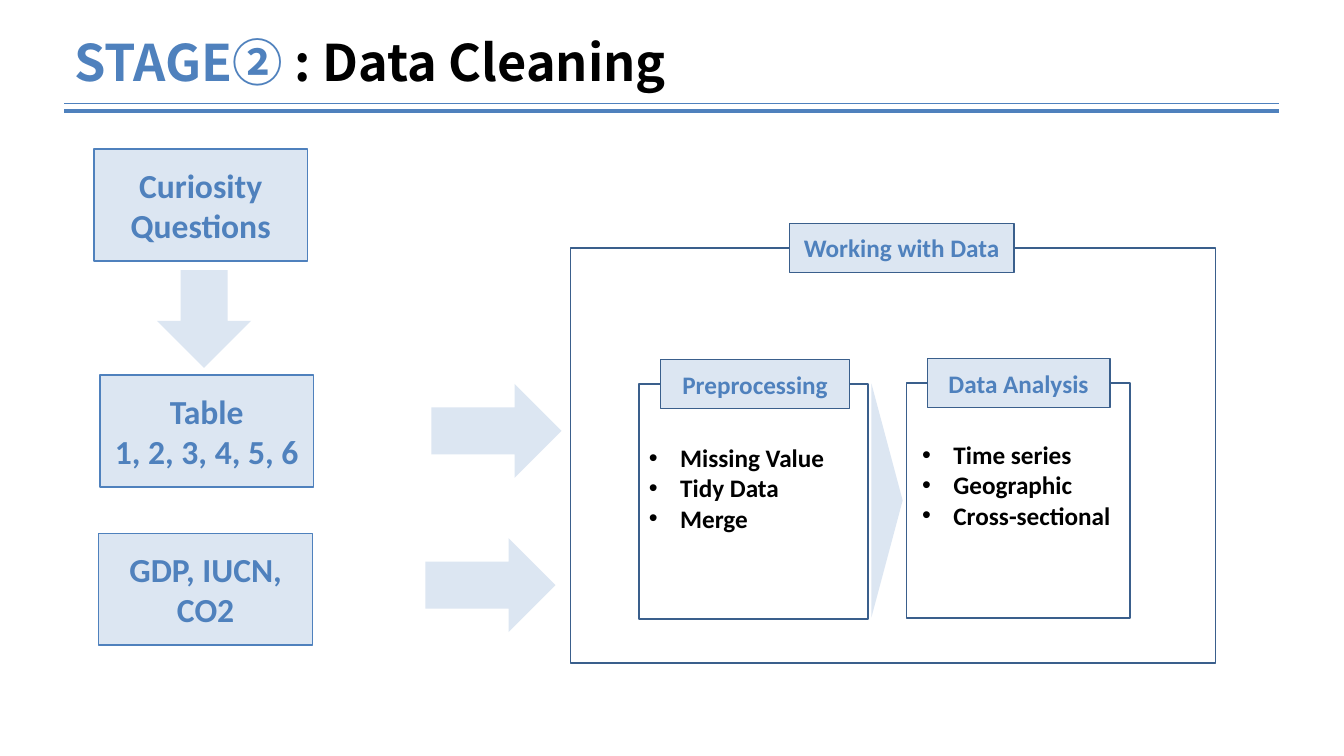
import pptx
import pptx.util
import pptx.dml.color
import pptx.enum.shapes
import pptx.enum.text
import lxml.etree

presentation = pptx.Presentation()
presentation.slide_width = pptx.util.Inches(13.333)
presentation.slide_height = pptx.util.Inches(7.5)
slide = presentation.slides.add_slide(presentation.slide_layouts[6])
column = presentation.slide_width / 100
row = presentation.slide_height / 100

colour = pptx.dml.color.RGBColor.from_string
kinds = pptx.enum.shapes.MSO_SHAPE
BLUE, NAVY, PALE, BLACK = "4F81BD", "3A5F8C", "DCE6F2", "000000"
DRAWING = "{http://schemas.openxmlformats.org/drawingml/2006/main}"


def add_block(kind, left, top, width, height, fill=None, line=None, rotation=0):
    shape = slide.shapes.add_shape(
        kind, int(left * column), int(top * row), int(width * column), int(height * row))
    shape.shadow.inherit = False
    shape.rotation = rotation
    if fill:
        shape.fill.solid()
        shape.fill.fore_color.rgb = colour(fill)
    else:
        shape.fill.background()
    if line:
        shape.line.color.rgb = colour(line)
        shape.line.width = pptx.util.Pt(1)
    else:
        shape.line.fill.background()
    return shape


def write_text(shape, lines, size=18, font="Calibri", align="CENTER", anchor="MIDDLE", bullet=None):
    frame = shape.text_frame
    frame.word_wrap = True
    frame.vertical_anchor = pptx.enum.text.MSO_ANCHOR[anchor]
    for index, pieces in enumerate(lines):
        paragraph = frame.add_paragraph() if index else frame.paragraphs[0]
        paragraph.alignment = pptx.enum.text.PP_ALIGN[align]
        if bullet:
            properties = paragraph._p.get_or_add_pPr()
            indent = pptx.util.Inches(0.31)
            properties.set("marL", str(indent))
            properties.set("indent", str(-indent))
            lxml.etree.SubElement(properties, DRAWING + "buFont", typeface="Arial")
            lxml.etree.SubElement(properties, DRAWING + "buChar", char=bullet)
        for text, text_colour in pieces:
            run = paragraph.add_run()
            run.text = text
            run.font.size = pptx.util.Pt(size)
            run.font.bold = True
            run.font.color.rgb = colour(text_colour)
            run.font.name = font
            lxml.etree.SubElement(run._r.get_or_add_rPr(), DRAWING + "ea", typeface=font)


for height, weight in [(13.73, 0.5), (14.67, 3)]:
    rule = slide.shapes.add_connector(
        pptx.enum.shapes.MSO_CONNECTOR.STRAIGHT,
        int(4.8 * column), int(height * row), int(95.2 * column), int(height * row))
    rule.line.color.rgb = colour(BLUE)
    rule.line.width = pptx.util.Pt(weight)
    lxml.etree.SubElement(rule._element.spPr, DRAWING + "effectLst")

title = slide.shapes.add_textbox(
    int(4.8 * column), int(3.47 * row), int(63.83 * column), int(9.47 * row))
write_text(title, [[("STAGE② ", BLUE), (": Data Cleaning", BLACK)]],
           size=36, font="Noto Sans CJK KR", align="LEFT", anchor="TOP")

sources = [
    (6.98, 19.73, ["Curiosity", "Questions"]),
    (7.43, 49.6, ["Table", "1, 2, 3, 4, 5, 6"]),
    (7.35, 70.53, ["GDP, IUCN, CO2"]),
]
for left, top, lines in sources:
    source = add_block(kinds.RECTANGLE, left, top, 15.9, 14.8, PALE, BLUE)
    write_text(source, [[(line, BLUE)] for line in lines], size=24)

arrows = [(11.7, 35.73, 12.93, 0), (33.45, 48.4, 17.2, 270), (33, 68.8, 17.2, 270)]
for left, top, length, rotation in arrows:
    add_block(kinds.DOWN_ARROW, left, top, 6.98, length, PALE, rotation=rotation)
add_block(kinds.ISOSCELES_TRIANGLE, 57.3, 64.13, 17.4, 4.13, PALE, rotation=90)

panels = [
    ("Working with Data", 42.45, 32.8, 48, 54.93, 58.73, 16.73),
    ("Preprocessing", 47.55, 50.8, 17.03, 31.07, 49.13, 14.1),
    ("Data Analysis", 67.43, 50.67, 16.65, 31.07, 69, 13.58),
]
label_height = 6.53
for name, left, top, width, height, label_left, label_width in panels:
    add_block(kinds.RECTANGLE, left, top, width, height, line=NAVY)
    label = add_block(kinds.RECTANGLE, label_left, top - label_height / 2,
                      label_width, label_height, PALE, NAVY)
    write_text(label, [[(name, BLUE)]])

steps = [
    (47.55, 57.87, ["Missing Value", "Tidy Data", "Merge"]),
    (67.88, 57.47, ["Time series", "Geographic", "Cross-sectional"]),
]
for left, top, lines in steps:
    step_list = slide.shapes.add_textbox(
        int(left * column), int(top * row), int(15.68 * column), int(17.47 * row))
    write_text(step_list, [[(line, BLACK)] for line in lines],
               align="LEFT", anchor="TOP", bullet="•")

presentation.save("out.pptx")
